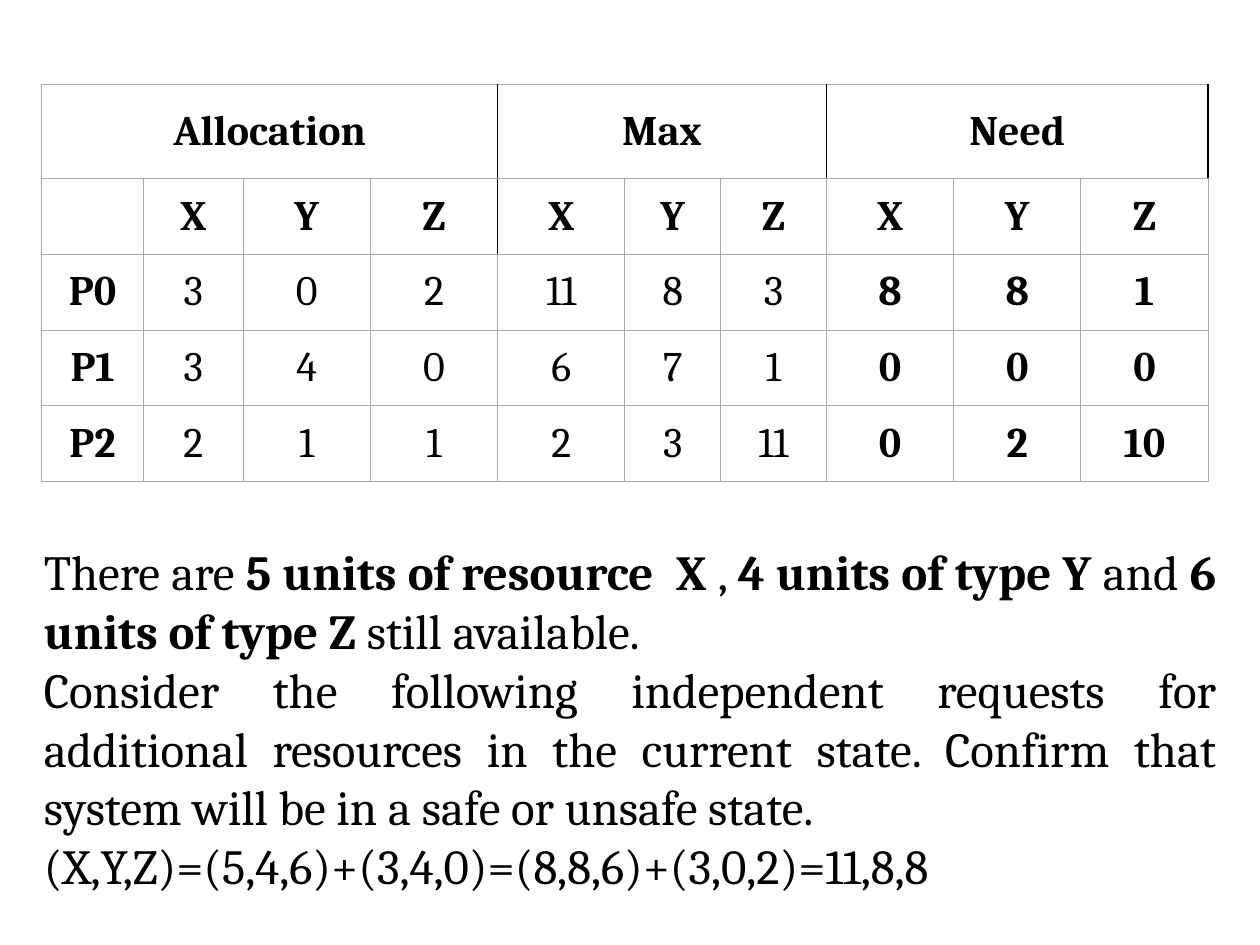
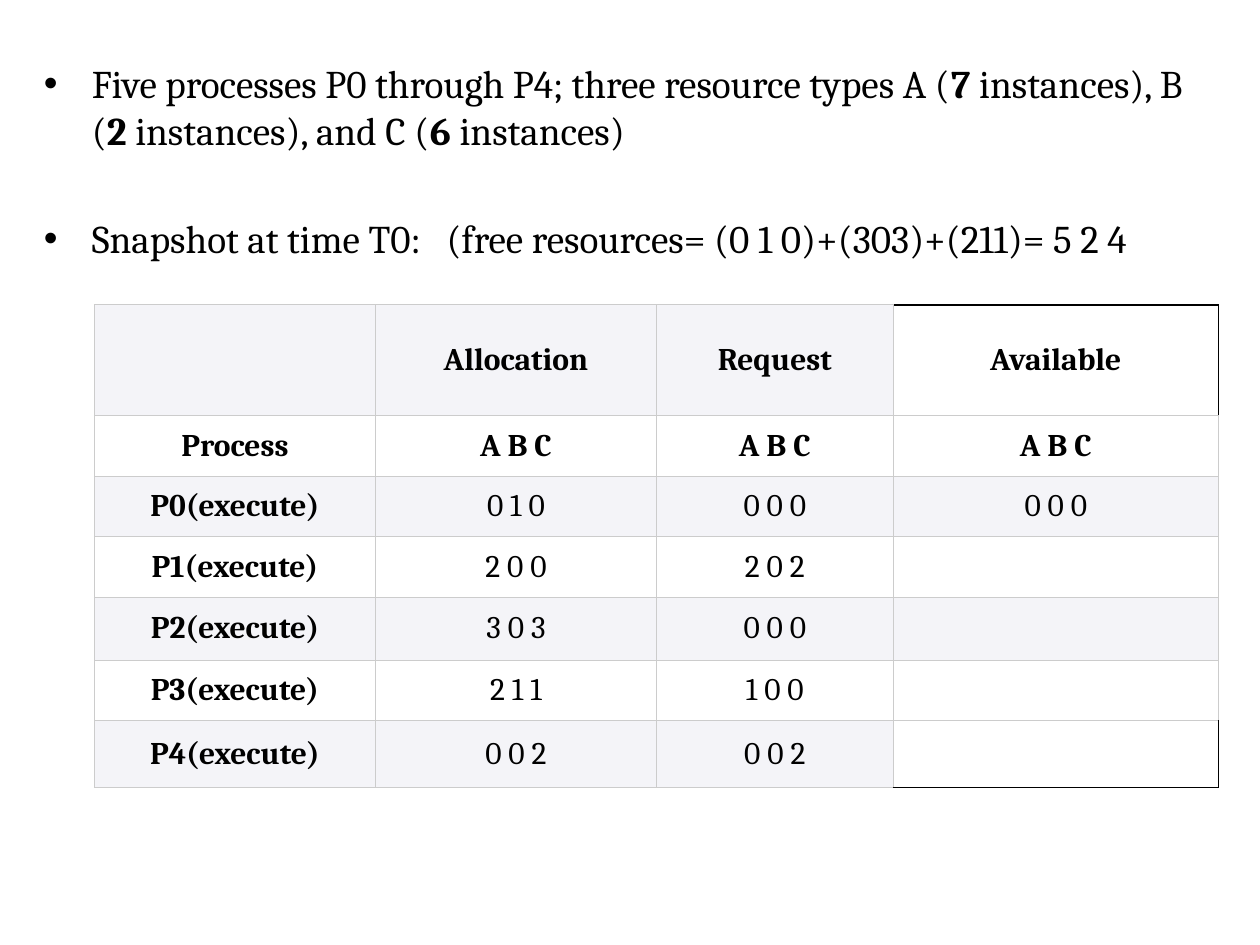
from lxml.etree import SubElement
from pptx import Presentation
from pptx.dml.color import RGBColor
from pptx.enum.text import MSO_ANCHOR, MSO_AUTO_SIZE, PP_ALIGN
from pptx.oxml.ns import qn
from pptx.util import Pt

PX = 9144  # EMU per px, 100 px to the inch
BLACK, WHITE, PALE = "000000", "FFFFFF", "F4F4F8"


def px(length):
    return length * PX


def color(value):
    return RGBColor.from_string(value)


def set_values(target, values):
    for name, value in values.items():
        setattr(target, name, value)


def add_border(cell, side, line_color, points):
    line = SubElement(cell._tc.get_or_add_tcPr(), qn(f"a:ln{side}"), w=str(Pt(points)))
    fill = SubElement(line, qn("a:solidFill"))
    SubElement(fill, qn("a:srgbClr"), val=line_color)


def add_bullet(paragraph, indent):
    properties = paragraph._p.get_or_add_pPr()
    properties.set("marL", str(px(indent)))
    properties.set("indent", str(-px(indent)))
    SubElement(properties, qn("a:buFont"), typeface="Arial")
    SubElement(properties, qn("a:buChar"), char="•")


class Deck:
    font_name = "Cambria"

    def __init__(self, width, height):
        self.presentation = Presentation()
        set_values(self.presentation, {"slide_width": px(width), "slide_height": px(height)})
        self.slide = None

    def new_slide(self):
        self.slide = self.presentation.slides.add_slide(self.presentation.slide_layouts[6])
        background = self.slide.background.fill
        background.solid()
        background.fore_color.rgb = color(WHITE)

    def add_runs(self, paragraph, text, size, bold=False):
        """Fill a paragraph; parts between asterisks are set in bold."""
        for number, part in enumerate(text.split("*")):
            if part:
                run = paragraph.add_run()
                run.text = part
                set_values(run.font, {"name": self.font_name, "size": Pt(size),
                                      "bold": bold or number % 2 == 1})
                run.font.color.rgb = color(BLACK)

    def text(self, box, texts, size, align=PP_ALIGN.LEFT, gap=0, bullet_indent=0):
        shape = self.slide.shapes.add_textbox(*map(px, box))
        frame = shape.text_frame
        set_values(frame, {"word_wrap": True, "auto_size": MSO_AUTO_SIZE.NONE})
        for number, text in enumerate(texts):
            paragraph = frame.add_paragraph() if number else frame.paragraphs[0]
            paragraph.alignment = align
            if number and gap:
                paragraph.space_before = Pt(gap)
            if bullet_indent:
                add_bullet(paragraph, bullet_indent)
            self.add_runs(paragraph, text, size)

    def table(self, left, top, widths, heights, rows, size, margins, line_color,
              bold_columns, fill_of, merges=(), dark_vertical=(), dark_horizontal=()):
        """Dark edges are (row, column) pairs that name the left or top edge of a cell."""
        frame = self.slide.shapes.add_table(
            len(rows), len(widths), px(left), px(top), px(sum(widths)), px(sum(heights)))
        table = frame.table
        for column, width in zip(table.columns, widths):
            column.width = px(width)
        for table_row, height in zip(table.rows, heights):
            table_row.height = px(height)
        for row, first, last in merges:
            table.cell(row, first).merge(table.cell(row, last))
        side_margin, end_margin = map(px, margins)
        for row, texts in enumerate(rows):
            for column, text in enumerate(texts):
                cell = table.cell(row, column)
                right = column + (cell.span_width if cell.is_merge_origin else 1)
                edges = {"L": (row, column) in dark_vertical,
                         "R": (row, right) in dark_vertical,
                         "T": (row, column) in dark_horizontal,
                         "B": (row + 1, column) in dark_horizontal}
                for side, dark in edges.items():
                    add_border(cell, side, *((BLACK, 1) if dark else (line_color, 0.75)))
                cell.fill.solid()
                cell.fill.fore_color.rgb = color(fill_of(row, column))
                set_values(cell, {"vertical_anchor": MSO_ANCHOR.MIDDLE,
                                  "margin_left": side_margin, "margin_right": side_margin,
                                  "margin_top": end_margin, "margin_bottom": end_margin})
                paragraph = cell.text_frame.paragraphs[0]
                paragraph.alignment = PP_ALIGN.CENTER
                self.add_runs(paragraph, text, size, row < 2 or column in bold_columns)


def build_safety_slide(deck):
    deck.new_slide()
    rows = [
        ["Allocation", "", "", "", "Max", "", "", "Need", "", ""],
        [""] + ["X", "Y", "Z"] * 3,
        ["P0", "3", "0", "2", "11", "8", "3", "8", "8", "1"],
        ["P1", "3", "4", "0", "6", "7", "1", "0", "0", "0"],
        ["P2", "2", "1", "1", "2", "3", "11", "0", "2", "10"],
    ]
    deck.table(33, 67, [81, 79, 101, 101, 101, 76, 84, 101, 101, 101],
               [75] + [60] * 4, rows, size=24, margins=(6, 5), line_color="AAAAAA",
               bold_columns=(0, 7, 8, 9), fill_of=lambda row, column: WHITE,
               merges=[(0, 0, 3), (0, 4, 6), (0, 7, 9)],
               dark_vertical={(0, 4), (0, 7), (0, 10), (1, 4)})
    deck.text((25, 425, 950, 340), [
        "There are *5 units of resource  X *, *4 units of type Y *and "
        "*6 units of type Z* still available.",
        "Consider the following independent requests for additional resources in the "
        "current state. Confirm that system will be in a safe or unsafe state.",
        "(X,Y,Z)=(5,4,6)+(3,4,0)=(8,8,6)+(3,0,2)=11,8,8",
    ], size=28, align=PP_ALIGN.JUSTIFY)


def build_detection_slide(deck):
    deck.new_slide()
    deck.text((25, 42, 958, 183), [
        "Five processes P0 through P4; three resource types A (*7* instances), "
        "B (*2* instances), and C (*6* instances)",
        "Snapshot at time T0:   (free resources= (0 1 0)+(303)+(211)= 5 2 4",
    ], size=22.4, gap=35, bullet_indent=38)
    rows = [
        ["", "Allocation", "Request", "Available"],
        ["Process"] + ["A B C"] * 3,
        ["P0(execute)", "0 1 0", "0 0 0", "0 0 0"],
        ["P1(execute)", "2 0 0", "2 0 2", ""],
        ["P2(execute)", "3 0 3", "0 0 0", ""],
        ["P3(execute)", "2 1 1", "1 0 0", ""],
        ["P4(execute)", "0 0 2", "0 0 2", ""],
    ]
    plain_corners = {(0, 3), (6, 3)}
    deck.table(75, 242, [223, 223, 188, 258], [88, 48, 48, 48, 50, 48, 53], rows,
               size=18, margins=(3, 3), line_color="CCCCCC", bold_columns=(0,),
               fill_of=lambda row, column:
               WHITE if row % 2 or (row, column) in plain_corners else PALE,
               dark_vertical={(0, 4), (6, 4)}, dark_horizontal={(0, 3), (7, 3)})


def main():
    deck = Deck(1000, 750)
    build_safety_slide(deck)
    build_detection_slide(deck)
    deck.presentation.save("out.pptx")


if __name__ == "__main__":
    main()
